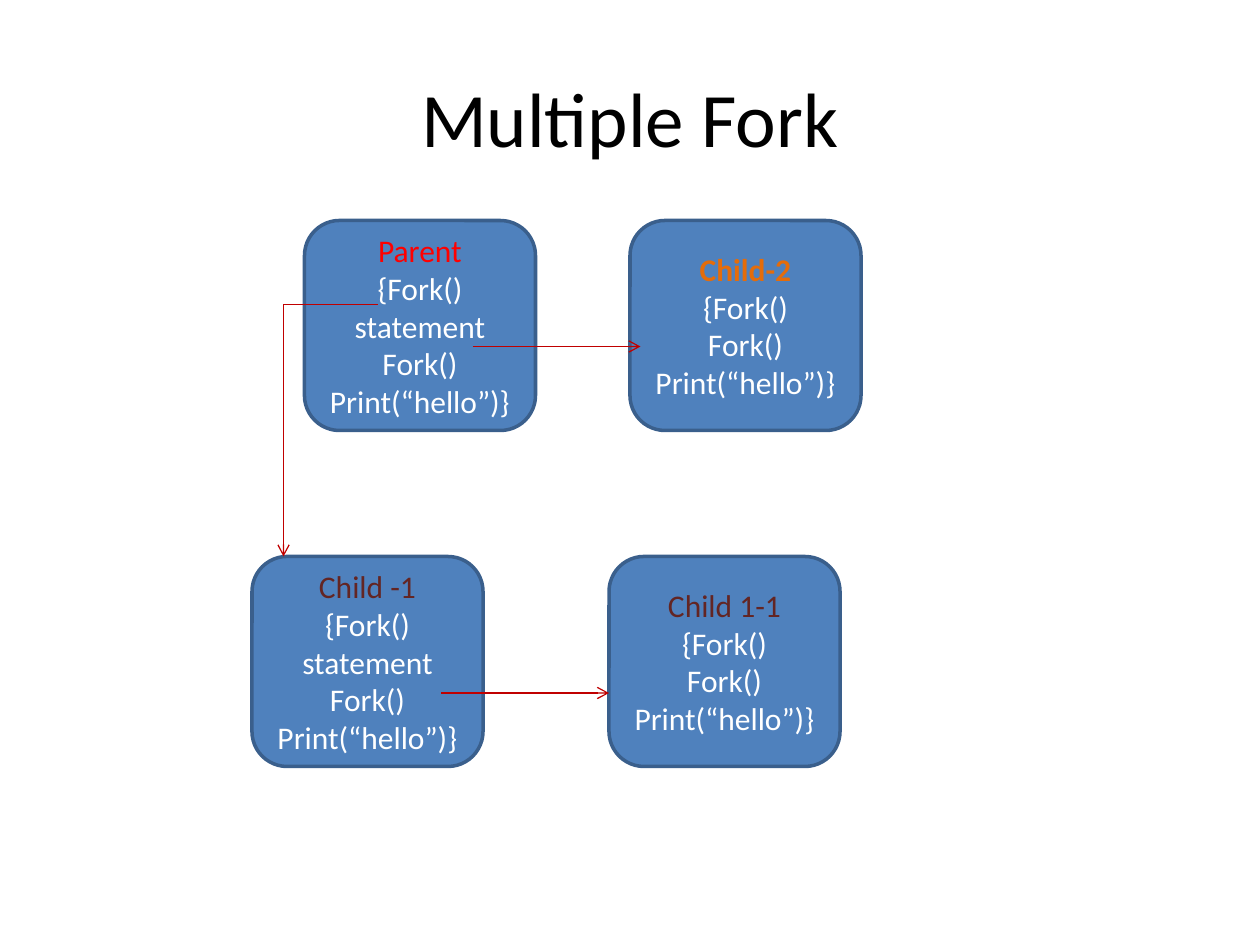
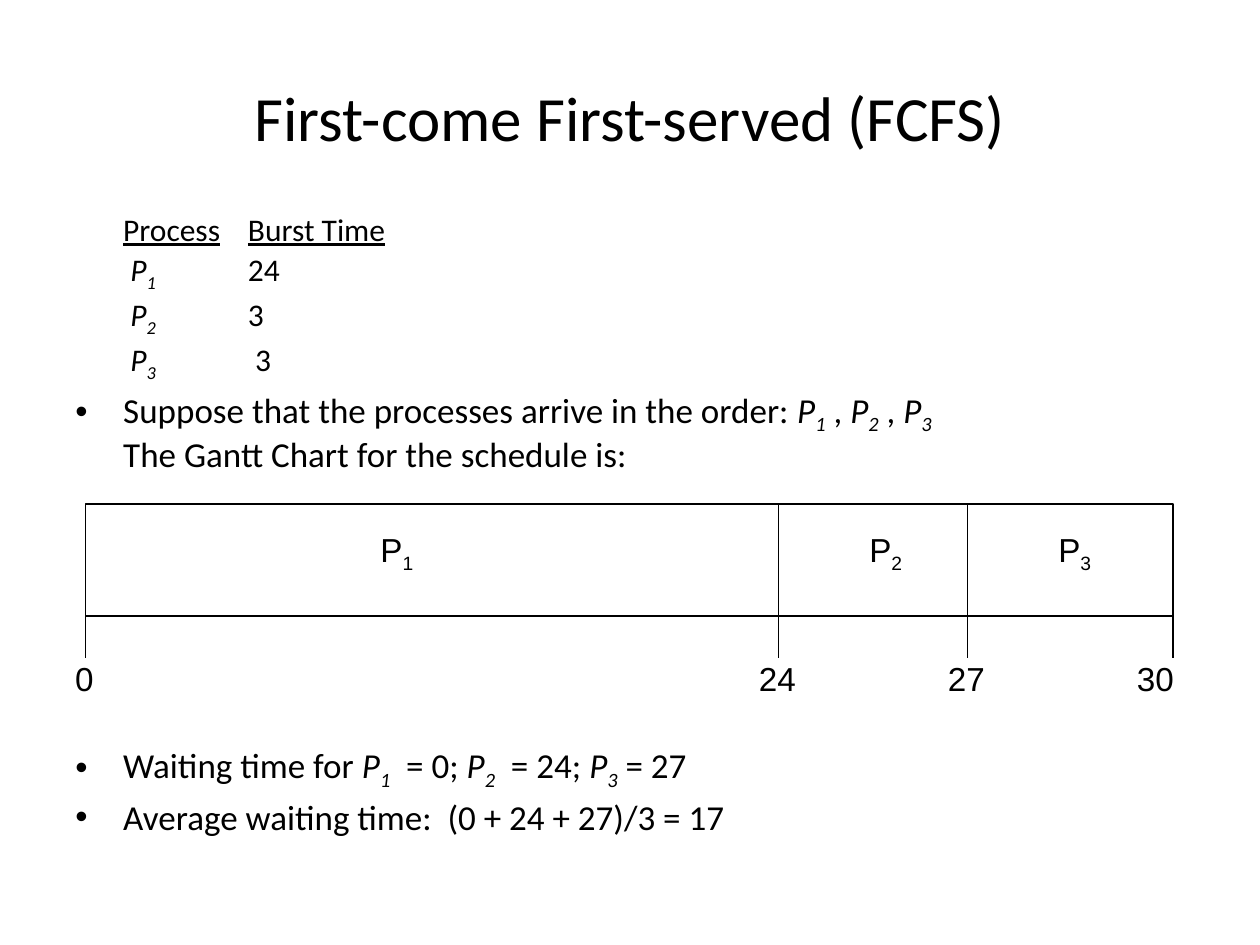
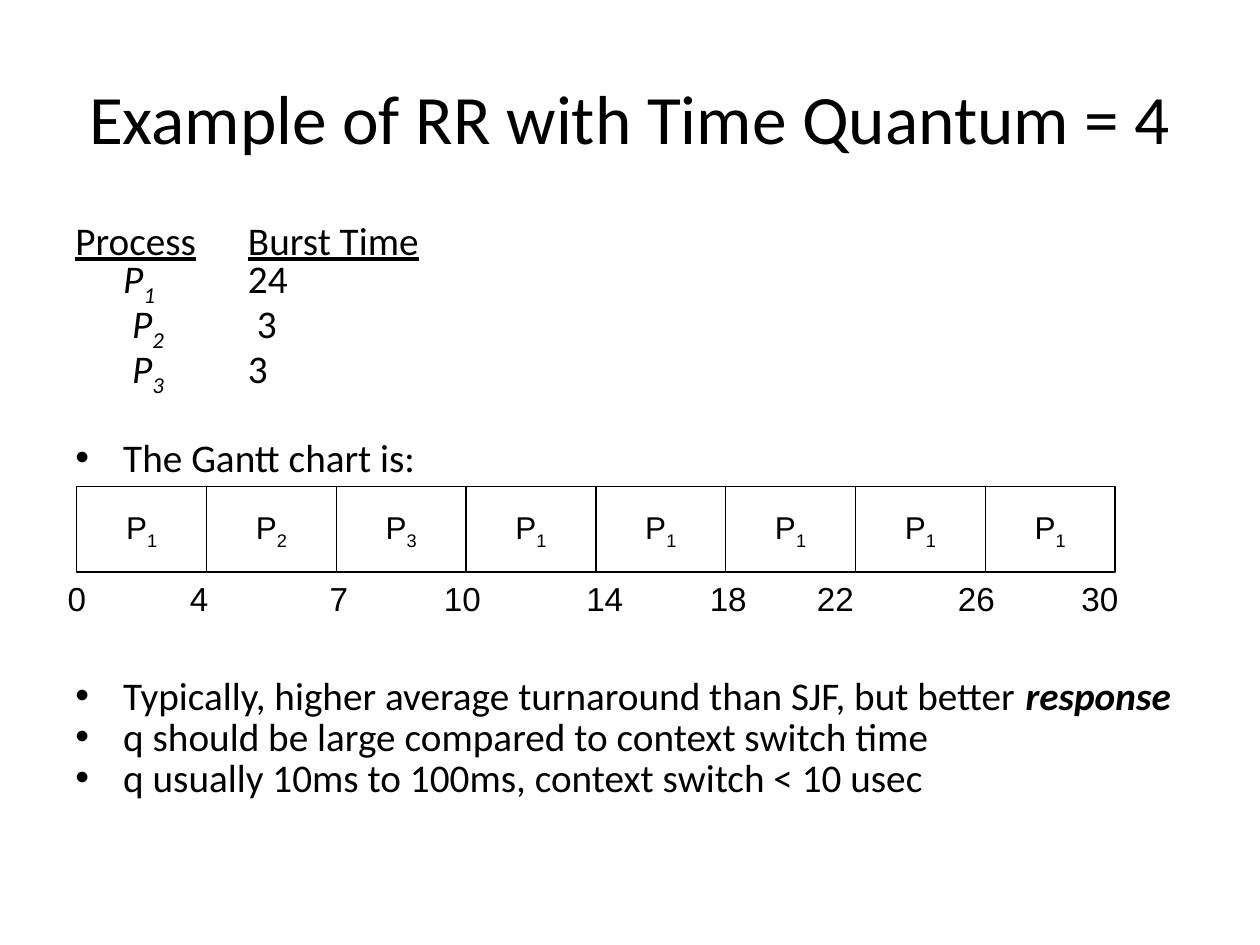
from pptx import Presentation
from pptx.dml.color import RGBColor
from pptx.enum.shapes import MSO_CONNECTOR as Connector, MSO_SHAPE as Shape
from pptx.enum.text import MSO_ANCHOR as Anchor, PP_ALIGN as Align
from pptx.oxml.ns import qn
from pptx.util import Inches, Pt
from lxml.etree import SubElement

# Shared look
BLACK, WHITE, RED = "000000", "FFFFFF", "C00000"
BOX_FILL, BOX_LINE = "4F81BD", "3A5F8C"
BODY_FONT, CHART_FONT = "Calibri", "Arial"
WIDTH, HEIGHT = 10, 7.5
MARGIN = WIDTH / 20
BODY_WIDTH = WIDTH - 2 * MARGIN + 0.2
HANG = 0.38
TABS = (HANG, 1.37)  # process column, burst time column
UNIT = 1 / 12  # grid step of the fork diagram


def color(value):
    return RGBColor.from_string(value)


def process(number, **style):
    """Spans for a process name with its subscript."""
    return [("P", style), (str(number), {**style, "sub": True})]


def add_span(para, text, size, font, ink, bold=False, italic=False,
             underline=False, sub=False):
    if text == "\n":
        para.add_line_break()
        return
    span = para.add_run()
    span.text = text
    face = span.font
    face.name, face.size, face.color.rgb = font, Pt(size), color(ink)
    face.bold, face.italic, face.underline = bold, italic, underline
    if sub:
        span._r.get_or_add_rPr().set("baseline", "-25000")


def set_bullet(para):
    props = para._p.get_or_add_pPr()
    props.set("marL", str(Inches(HANG)))
    props.set("indent", str(-Inches(HANG)))
    SubElement(props, qn("a:buFont"), typeface="Arial")
    SubElement(props, qn("a:buChar"), char="•")


def set_tabs(para):
    stops = SubElement(para._p.get_or_add_pPr(), qn("a:tabLst"))
    for stop in TABS:
        SubElement(stops, qn("a:tab"), pos=str(Inches(stop)), algn="l")


def write(frame, paragraphs, size=18, font=BODY_FONT, ink=BLACK,
          align=Align.LEFT, anchor=Anchor.TOP, wrap=True, pitch=None,
          gap=0, bullets=False, tabs=False, inset=None):
    """Fill a text frame; a paragraph is a list of strings or (text, style)."""
    frame.word_wrap, frame.vertical_anchor = wrap, anchor
    if inset is not None:
        frame.margin_left = frame.margin_right = Inches(inset)
        frame.margin_top = frame.margin_bottom = Inches(inset)
    for index, spans in enumerate(paragraphs):
        para = frame.add_paragraph() if index else frame.paragraphs[0]
        para.alignment = align
        if pitch:
            para.line_spacing = Pt(pitch)
        para.space_before = Pt(gap if index else 0)
        if bullets:
            set_bullet(para)
        if tabs:
            set_tabs(para)
        for span in spans:
            text, style = (span, {}) if isinstance(span, str) else span
            add_span(para, text, **{"size": size, "font": font, "ink": ink, **style})


def add_text(page, left, top, width, height, paragraphs, **style):
    box = page.shapes.add_textbox(*map(Inches, (left, top, width, height)))
    write(box.text_frame, paragraphs, **style)


def add_box(page, kind, left, top, width, height, fill, line, weight):
    box = page.shapes.add_shape(kind, *map(Inches, (left, top, width, height)))
    box.shadow.inherit = False
    box.fill.solid()
    box.fill.fore_color.rgb = color(fill)
    box.line.color.rgb, box.line.width = color(line), Pt(weight)
    return box


def add_line(page, start, end, ink=BLACK, arrow=False):
    line = page.shapes.add_connector(Connector.STRAIGHT, *map(Inches, (*start, *end)))
    line.line.color.rgb, line.line.width = color(ink), Pt(0.75)
    if arrow:
        SubElement(line.line._get_or_add_ln(), qn("a:tailEnd"), type="arrow")
    SubElement(line._element.spPr, qn("a:effectLst"))


def add_page(deck, title, size):
    page = deck.slides.add_slide(deck.slide_layouts[6])
    add_text(page, MARGIN, HEIGHT * 0.04, WIDTH - 2 * MARGIN, HEIGHT / 6, [[title]],
             size=size, align=Align.CENTER, anchor=Anchor.MIDDLE)
    return page


def add_label(page, center, middle, spans, size=19):
    """Chart label centred on a point."""
    width, height = 0.6, 0.32
    add_text(page, center - width / 2, middle - height / 2, width, height, [spans],
             size=size, font=CHART_FONT, align=Align.CENTER, anchor=Anchor.MIDDLE,
             wrap=False, inset=0)


def add_burst_times(page, top, size, rows):
    header = [("Process", {"underline": True}), "\t", ("Burst Time", {"underline": True})]
    if rows[0][0].endswith(" "):
        header.insert(0, "\t")
    lines = [[lead, *process(number, italic=True), "\t" + burst]
             for number, (lead, burst) in enumerate(rows, 1)]
    add_text(page, MARGIN, top, BODY_WIDTH, 1.55, [header, *lines],
             size=size, pitch=25.7, tabs=True)


def add_bullets(page, top, height, paragraphs, **style):
    add_text(page, MARGIN, top, BODY_WIDTH, height, paragraphs, bullets=True, **style)


def add_fork_box(page, column, row, name, ink, code, bold=False):
    box = add_box(page, Shape.ROUNDED_RECTANGLE, column * UNIT, row * UNIT,
                  22 * UNIT, 20 * UNIT, BOX_FILL, BOX_LINE, 2)
    write(box.text_frame, [[(name, {"ink": ink, "bold": bold})], *[[line] for line in code]],
          ink=WHITE, align=Align.CENTER, anchor=Anchor.MIDDLE)


def fork_page(deck):
    page = add_page(deck, "Multiple Fork", 44)
    short = ["{Fork()", "Fork()", "Print(“hello”)}"]
    full = ["{Fork()", "statement", *short[1:]]
    add_fork_box(page, 29, 21, "Parent", "FF0000", full)
    add_fork_box(page, 24, 53, "Child -1", "632523", full)
    add_fork_box(page, 58, 53, "Child 1-1", "632523", short)
    add_fork_box(page, 60, 21, "Child-2", "E46C0A", short, bold=True)
    # Calls from a fork statement to the child it starts
    for x1, y1, x2, y2, arrow in ((27, 29, 27, 53, True), (42, 66, 58, 66, True),
                                  (45, 33, 61, 33, True), (27, 29, 36, 29, False)):
        add_line(page, (x1 * UNIT, y1 * UNIT), (x2 * UNIT, y2 * UNIT), RED, arrow)


def fcfs_page(deck):
    page = add_page(deck, "First-come First-served (FCFS)", 36)
    first, second, third = (process(number, italic=True) for number in (1, 2, 3))
    add_burst_times(page, 1.56, 18, [("\t ", "24"), ("\t ", "3"), ("\t ", " 3")])
    body = {"size": 20, "pitch": 22.3, "gap": 4}
    add_bullets(page, 3.1, 0.75, [
        ["Suppose that the processes arrive in the order: ", *first, " , ", *second,
         " , ", *third, "\n", "The Gantt Chart for the schedule is:"]], **body)

    # Gantt bar with a tick at each change of process
    top, bottom, tick = 4, 4.89, 5.22
    ticks = {"0": 0.68, "24": 6.18, "27": 7.68, "30": 9.31}
    left, *inner, right = ticks.values()
    add_box(page, Shape.RECTANGLE, left, top, right - left, bottom - top, WHITE, BLACK, 0.75)
    for x in inner:
        add_line(page, (x, top), (x, bottom))
    for x in ticks.values():
        add_line(page, (x, bottom), (x, tick))
    for time, x in ticks.items():
        add_label(page, min(x, 9.18) - 0.01, 5.38, [time])
    for number, x in enumerate((3.15, 7.03, 8.53), 1):
        add_label(page, x, 4.38, process(number))

    add_bullets(page, 5.92, 0.85, [
        ["Waiting time for ", *first, "  = 0; ", *second, "  = 24; ", *third, " = 27"],
        ["Average waiting time:  (0 + 24 + 27)/3 = 17"]], **body)


def round_robin_page(deck):
    page = add_page(deck, "Example of RR with Time Quantum = 4", 39.6)
    body = {"size": 22.4, "pitch": 23.4}
    add_burst_times(page, 1.68, 22.4, [("\t", "24"), ("\t ", " 3"), ("\t ", "3")])
    add_bullets(page, 3.44, 0.45, [["The Gantt chart is:"]], **body)

    # Gantt cells, one per time slice
    left, top, cell, height = 0.61, 3.86, 1.03, 0.68
    for column, number in enumerate((1, 2, 3, 1, 1, 1, 1, 1)):
        box = add_box(page, Shape.RECTANGLE, left + column * cell, top, cell, height,
                      WHITE, BLACK, 0.75)
        write(box.text_frame, [process(number)], font=CHART_FONT, align=Align.CENTER,
              anchor=Anchor.MIDDLE, wrap=False)
    times = {"0": 0.61, "4": 1.58, "7": 2.69, "10": 3.67, "14": 4.8,
             "18": 5.78, "22": 6.63, "26": 7.75, "30": 8.73}
    for time, x in times.items():
        add_label(page, x, 4.75, [time])

    add_bullets(page, 5.33, 1.1, [
        ["Typically, higher average turnaround than SJF, but better ",
         ("response", {"bold": True, "italic": True})],
        ["q should be large compared to context switch time"],
        ["q usually 10ms to 100ms, context switch < 10 usec"]], **body)


def main():
    deck = Presentation()
    deck.slide_width, deck.slide_height = Inches(WIDTH), Inches(HEIGHT)
    fork_page(deck)
    fcfs_page(deck)
    round_robin_page(deck)
    deck.save("out.pptx")


if __name__ == "__main__":
    main()
